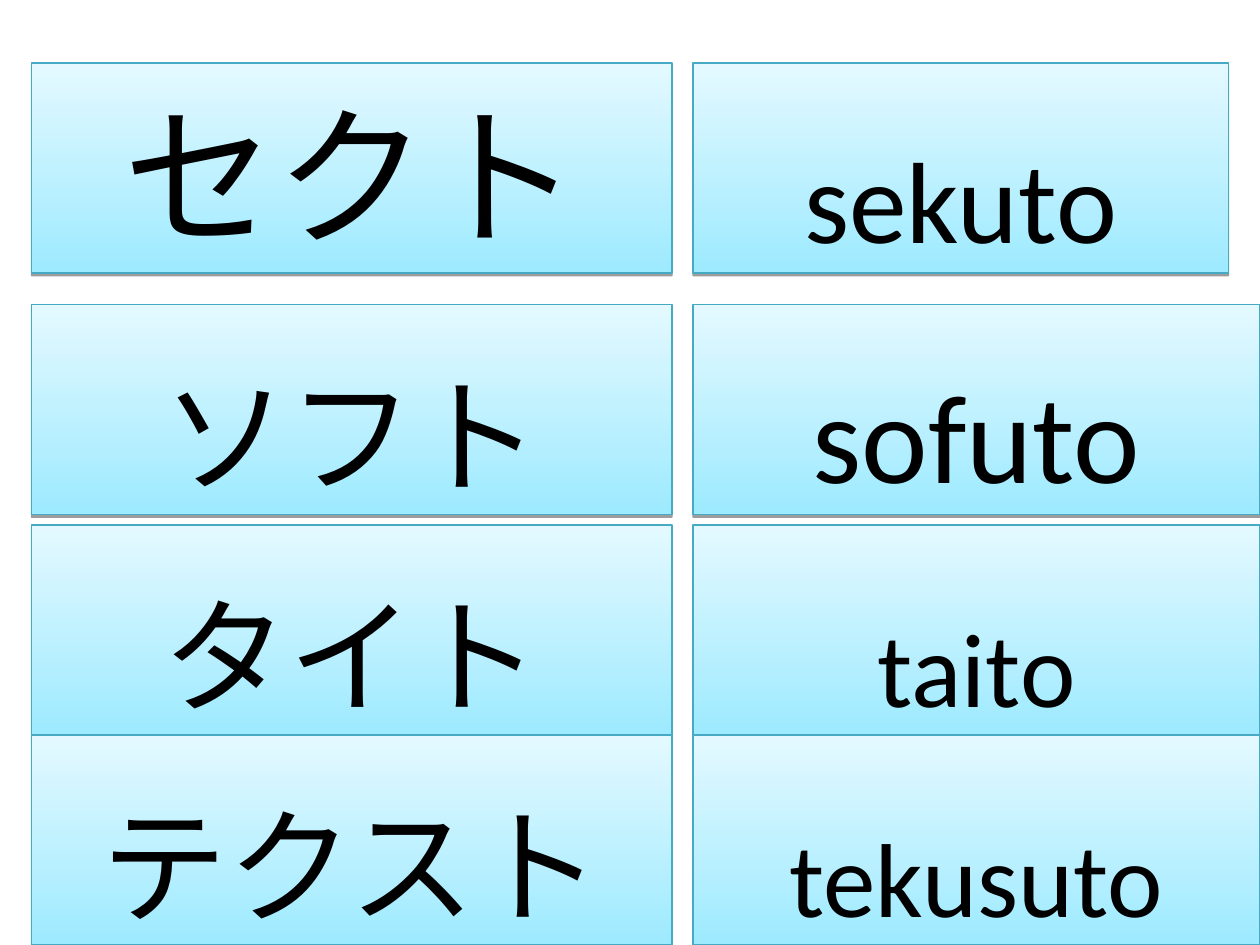
from dataclasses import dataclass

from lxml.etree import SubElement
from pptx import Presentation
from pptx.dml.color import RGBColor
from pptx.enum.shapes import MSO_SHAPE
from pptx.enum.text import MSO_ANCHOR, PP_ALIGN
from pptx.oxml.ns import qn
from pptx.shapes.autoshape import Shape
from pptx.slide import Slide
from pptx.util import Emu, Pt

EMU_PER_PX = 7620
CARD_HEIGHT = 200
KATAKANA_LEFT, KATAKANA_WIDTH = 30, 610
ROMAJI_LEFT = 660


@dataclass(frozen=True)
class WordPair:
    top: int
    katakana: str
    romaji: str
    katakana_size: int = 72
    romaji_size: int = 60
    romaji_width: int = 540
    katakana_spacing: float | None = None


WORD_PAIRS = [
    WordPair(60, "セクト", "sekuto", 87, 66, 510, 0.9),
    WordPair(290, "ソフト", "sofuto", romaji_size=72),
    WordPair(500, "タイト", "taito"),
    WordPair(700, "テクスト", "tekusuto"),
]


def px(length: int) -> Emu:
    return Emu(length * EMU_PER_PX)


def color(value: str) -> RGBColor:
    return RGBColor.from_string(value)


def add_drop_shadow(card: Shape) -> None:
    card.shadow.inherit = False
    effects = card._element.spPr.find(qn("a:effectLst"))
    shadow = SubElement(effects, qn("a:outerShdw"), blurRad="0", dist="20000",
                        dir="5400000", rotWithShape="0")
    black = SubElement(shadow, qn("a:srgbClr"), val="000000")
    SubElement(black, qn("a:alpha"), val="38000")


def draw_card(slide: Slide, left: int, top: int, width: int, word: str,
              size: int, spacing: float | None = None) -> None:
    card = slide.shapes.add_shape(MSO_SHAPE.RECTANGLE, px(left), px(top),
                                  px(width), px(CARD_HEIGHT))
    card.fill.gradient()
    card.fill.gradient_angle = 90
    for stop, shade in zip(card.fill.gradient_stops, ("9EEAFF", "E4F9FF")):
        stop.color.rgb = color(shade)
    card.line.color.rgb = color("46AAC5")
    card.line.width = Pt(0.75)
    add_drop_shadow(card)

    frame = card.text_frame
    frame.text = word
    frame.word_wrap = True
    frame.vertical_anchor = MSO_ANCHOR.BOTTOM
    paragraph = frame.paragraphs[0]
    paragraph.alignment = PP_ALIGN.CENTER
    paragraph.line_spacing = spacing
    font = paragraph.runs[0].font
    font.name = "Calibri"
    font.size = Pt(size)
    font.color.rgb = color("000000")


def draw_pair(slide: Slide, pair: WordPair) -> None:
    draw_card(slide, KATAKANA_LEFT, pair.top, KATAKANA_WIDTH, pair.katakana,
              pair.katakana_size, pair.katakana_spacing)
    draw_card(slide, ROMAJI_LEFT, pair.top, pair.romaji_width, pair.romaji,
              pair.romaji_size)


def main() -> None:
    presentation = Presentation()
    presentation.slide_width = px(1200)
    presentation.slide_height = px(900)
    slide = presentation.slides.add_slide(presentation.slide_layouts[6])
    for pair in WORD_PAIRS:
        draw_pair(slide, pair)
    presentation.save("out.pptx")


if __name__ == "__main__":
    main()
